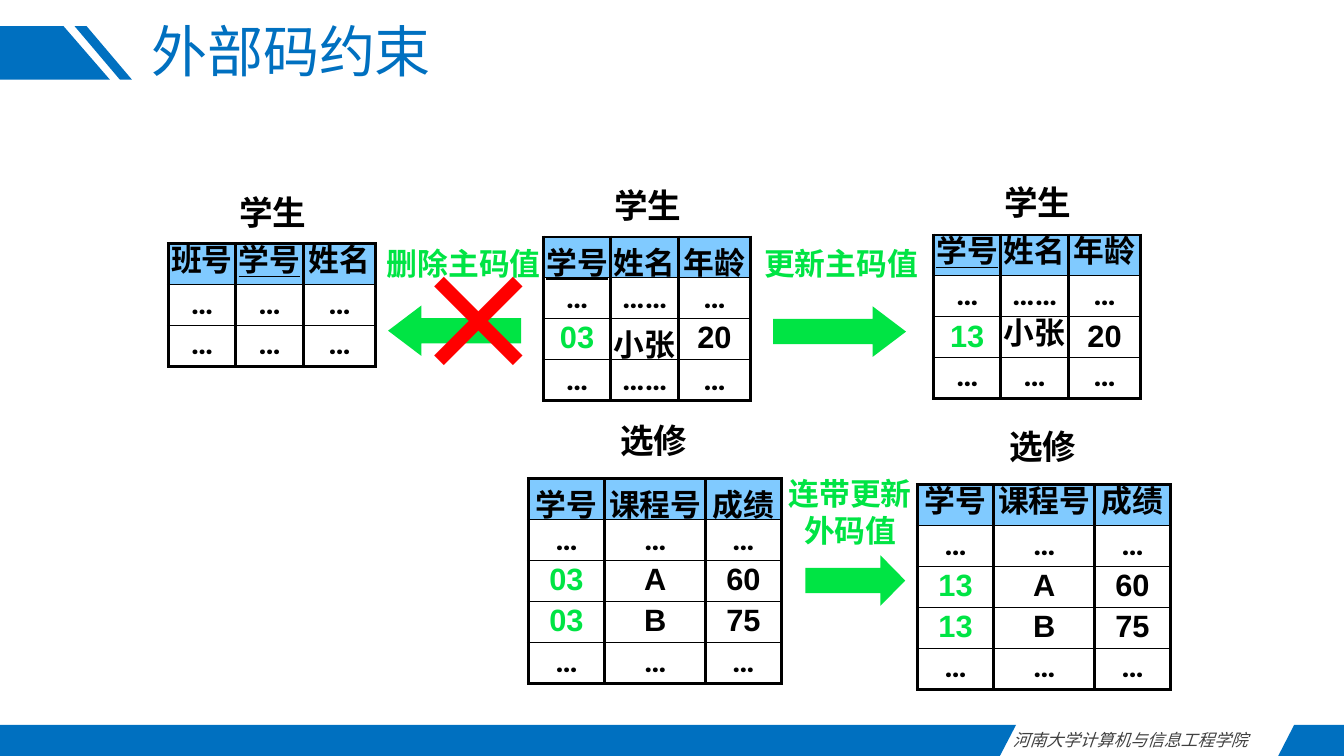
from lxml import etree
from pptx import Presentation
from pptx.dml.color import RGBColor
from pptx.enum.shapes import MSO_SHAPE
from pptx.enum.text import MSO_ANCHOR, PP_ALIGN
from pptx.oxml.ns import qn
from pptx.util import Pt

RIGHT_ARROW = MSO_SHAPE.RIGHT_ARROW
MIDDLE = MSO_ANCHOR.MIDDLE
LEFT, CENTER, JUSTIFY = PP_ALIGN.LEFT, PP_ALIGN.CENTER, PP_ALIGN.JUSTIFY

BLUE, GREEN, RED = "0070C0", "00E444", "FF0000"
HEADER_BLUE, BLACK, GREY = "80CAFF", "000000", "404040"
CHINESE_FONT = "Noto Sans CJK SC"

ROW_HEIGHT = 29.2
STUDENT_COLUMNS = (48.2, 48.2, 51.8)
COURSE_COLUMNS = (54.7, 72, 54)


def color(hex_string):
    return RGBColor.from_string(hex_string)


def format_text(text_frame, size, font, hex_color, alignment=CENTER, bold=True, italic=False):
    for paragraph in text_frame.paragraphs:
        paragraph.alignment = alignment
        for run in paragraph.runs:
            run.font.size = Pt(size)
            run.font.name = font
            run.font.bold = bold
            run.font.italic = italic
            run.font.color.rgb = color(hex_color)
            if "…" not in run.text:
                latin = run.font._element.find(qn("a:latin"))
                east_asian = etree.Element(qn("a:ea"), typeface=CHINESE_FONT)
                latin.addnext(east_asian)


def add_text(slide, text, box, size, hex_color, font="Roboto", side_inset=7.2, wrap=True, **style):
    text_box = slide.shapes.add_textbox(*map(Pt, box))
    text_frame = text_box.text_frame
    text_frame.word_wrap = wrap
    text_frame.margin_left = text_frame.margin_right = Pt(side_inset)
    text_frame.text = text
    format_text(text_frame, size, font, hex_color, **style)


def paint(shape, hex_color):
    shape.shadow.inherit = False
    shape.fill.solid()
    shape.fill.fore_color.rgb = color(hex_color)
    shape.line.fill.background()


def add_polygon(slide, points):
    (start_x, start_y), *others = [(Pt(x), Pt(y)) for x, y in points]
    builder = slide.shapes.build_freeform(start_x, start_y)
    builder.add_line_segments(others, close=True)
    paint(builder.convert_to_shape(), BLUE)


def add_arrow(slide, box, head, rotation=0):
    arrow = slide.shapes.add_shape(RIGHT_ARROW, *map(Pt, box))
    arrow.adjustments[0] = 0.5
    arrow.adjustments[1] = head
    arrow.rotation = rotation
    paint(arrow, GREEN)


def set_borders(cell, top, bottom):
    properties = cell._tc.get_or_add_tcPr()
    widths = {"a:lnL": 2.25, "a:lnR": 2.25, "a:lnT": top, "a:lnB": bottom}
    for index, (tag, width) in enumerate(widths.items()):
        line = etree.Element(qn(tag), w=str(Pt(width)))
        fill = etree.SubElement(line, qn("a:solidFill"))
        etree.SubElement(fill, qn("a:srgbClr"), val=BLACK)
        properties.insert(index, line)


def add_relation(slide, left, top, columns, rows, key=None, line_height=None):
    """Draw a relation; key is the underlined column, line_height keeps rows compact."""
    frame = slide.shapes.add_table(len(rows), len(columns), Pt(left), Pt(top),
                                   Pt(sum(columns)), Pt(ROW_HEIGHT * len(rows)))
    table = frame.table
    table.first_row = table.horz_banding = False
    for column, width in zip(table.columns, columns):
        column.width = Pt(width)
    for row_index, values in enumerate(rows):
        table.rows[row_index].height = Pt(ROW_HEIGHT)
        is_header = row_index == 0
        is_last = row_index == len(rows) - 1
        for column_index, value in enumerate(values):
            cell = table.cell(row_index, column_index)
            cell.margin_left = cell.margin_right = 0
            cell.margin_top = cell.margin_bottom = Pt(1.4)
            cell.text = value
            format_text(cell.text_frame, 22, "Roboto" if "…" in value else "Arial",
                        GREEN if value in ("03", "13") else BLACK)
            paragraph = cell.text_frame.paragraphs[0]
            if line_height:
                paragraph.line_spacing = Pt(line_height)
            if is_header and value == key:
                paragraph.runs[0].font.underline = True
            set_borders(cell, 2.25 if is_header else 1, 2.25 if is_last else 1)
            if is_header:
                cell.fill.solid()
                cell.fill.fore_color.rgb = color(HEADER_BLUE)
            else:
                cell.fill.background()


def student_rows(number, last_name):
    return [("学号", "姓名", "年龄"), ("…", "……", "…"),
            (number, "小张", "20"), ("…", last_name, "…")]


def course_rows(number):
    return [("学号", "课程号", "成绩"), ("…",) * 3,
            (number, "A", "60"), (number, "B", "75"), ("…",) * 3]


def add_title(slide, text):
    title = slide.shapes.title
    title.left, title.top, title.width, title.height = map(Pt, (100.8, 18.7, 752.4, 40.3))
    title.text_frame.text = text
    title.text_frame.vertical_anchor = MIDDLE
    title.text_frame.paragraphs[0].line_spacing = 0.9
    format_text(title.text_frame, 40, CHINESE_FONT, BLUE, alignment=LEFT, bold=False)


def add_decoration(slide):
    add_polygon(slide, [(0, 18.7), (45.4, 18.7), (78.5, 56.9), (0, 56.9)])
    add_polygon(slide, [(61.9, 18.7), (94.3, 56.9), (85.7, 56.9), (53.3, 18.7)])
    add_polygon(slide, [(0, 517.7), (725.8, 517.7), (714.2, 540), (0, 540)])
    add_polygon(slide, [(924.5, 517.7), (960, 517.7), (960, 540), (913, 540)])
    add_text(slide, "河南大学计算机与信息工程学院", (716.4, 517.7, 196.6, 21.6), 12, GREY,
             font=CHINESE_FONT, alignment=JUSTIFY, bold=False, italic=True)


def main():
    presentation = Presentation()
    presentation.slide_width, presentation.slide_height = Pt(960), Pt(540)
    slide = presentation.slides.add_slide(presentation.slide_layouts[5])
    add_decoration(slide)
    add_title(slide, "外部码约束")

    class_rows = [("班号", "学号", "姓名"), ("…",) * 3, ("…",) * 3]
    add_relation(slide, 120.2, 174.2, STUDENT_COLUMNS, class_rows, "学号", 25)
    add_relation(slide, 388.1, 169.2, STUDENT_COLUMNS, student_rows("03", "……"), "学号")
    add_relation(slide, 666.7, 167.8, STUDENT_COLUMNS, student_rows("13", "…"), "学号", 25)
    add_relation(slide, 377.3, 342, COURSE_COLUMNS, course_rows("03"))
    add_relation(slide, 655.2, 346.3, COURSE_COLUMNS, course_rows("13"), line_height=25)

    for name, left, top in (("学生", 151.9, 133.2), ("学生", 419.8, 128.2),
                            ("学生", 698.4, 126.7), ("选修", 424.1, 296.6),
                            ("选修", 702, 301)):
        add_text(slide, name, (left, top, 85.7, 36), 24, BLACK)

    add_arrow(slide, (277.2, 218.2, 95, 36), 0.66, rotation=180)
    add_arrow(slide, (552.2, 218.9, 95, 36), 0.66)
    add_arrow(slide, (575.3, 396.7, 71.3, 36), 0.49)
    add_text(slide, "删除主码值", (268.6, 171.4, 125.3, 33.8), 22, GREEN, wrap=False)
    add_text(slide, "更新主码值", (541.4, 171.4, 118.8, 33.8), 22, GREEN, side_inset=1.4)
    add_text(slide, "连带更新\v外码值", (547.9, 335.5, 118.8, 59.8), 22, GREEN)
    add_text(slide, "×", (293.8, 166.3, 87.8, 122.4), 96, RED,
             font=CHINESE_FONT, side_inset=0, alignment=LEFT)

    presentation.save("out.pptx")


if __name__ == "__main__":
    main()
